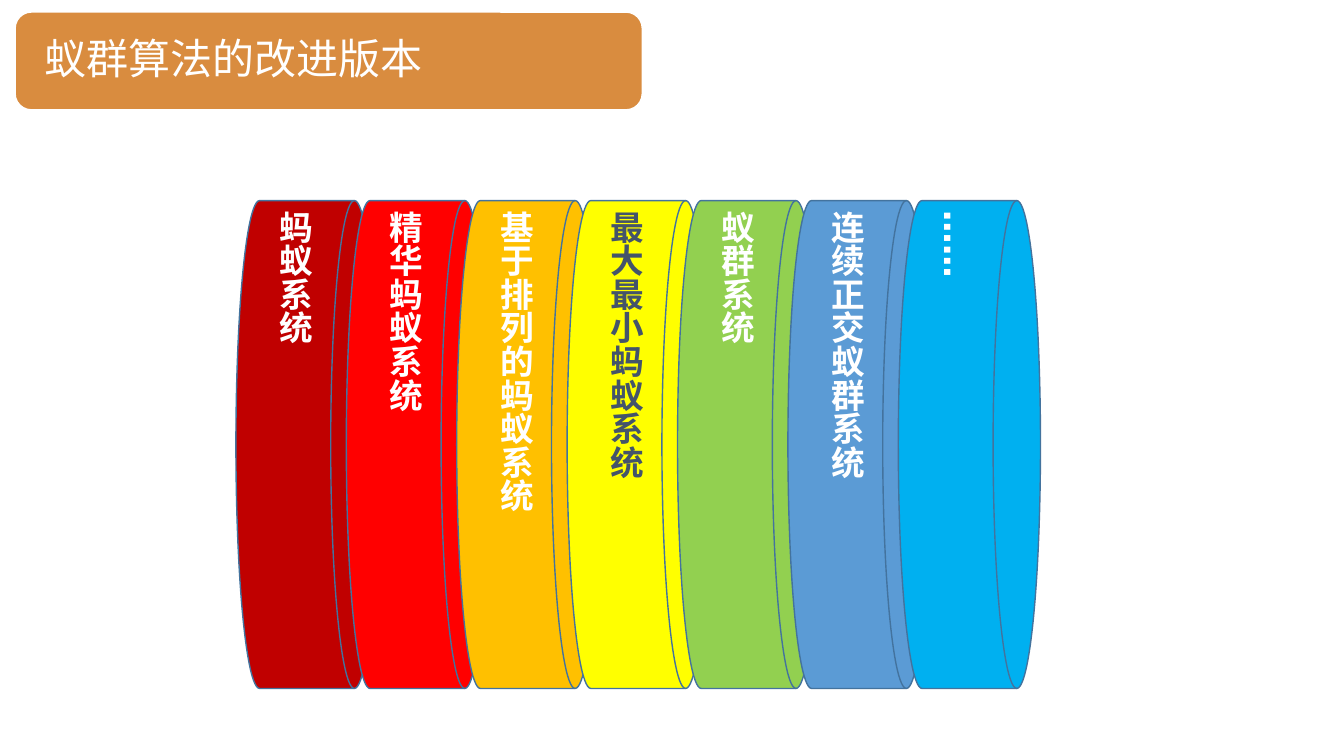
from pptx import Presentation
from pptx import util as u
from pptx.dml.color import RGBColor
from pptx.enum import shapes, text

TITLE = "蚁群算法的改进版本"
COLOURS = {
    "banner": "D98C3F", "white": "FFFFFF", "slate": "44546A", "outline": "43739E",
    "crimson": "C00000", "red": "FF0000", "amber": "FFC000", "yellow": "FFFF00",
    "green": "92D050", "blue": "5B9BD5", "sky": "00B0F0",
}
DRUMS = [
    ("蚂蚁系统", "crimson", "white"),
    ("精华蚂蚁系统", "red", "white"),
    ("基于排列的蚂蚁系统", "amber", "white"),
    ("最大最小蚂蚁系统", "yellow", "slate"),
    ("蚁群系统", "green", "white"),
    ("连续正交蚁群系统", "blue", "white"),
    ("……", "sky", "white"),
]
SLIDE = (13.33, 7.5)
BANNER = (0.15, 0.12, 6.22, 0.97)
BANNER_INSET = 0.05
ROW = {"left": 2.34, "top": 1.99, "right": 10.32, "width": 1.41, "height": 4.84}
TITLE_FRAME = {
    "word_wrap": True, "auto_size": text.MSO_AUTO_SIZE.NONE,
    "vertical_anchor": text.MSO_ANCHOR.MIDDLE,
    "margin_left": u.Inches(0.24), "margin_right": u.Inches(0.24),
    "margin_top": 0, "margin_bottom": 0,
}
DRUM_FRAME = {"word_wrap": True, "vertical_anchor": text.MSO_ANCHOR.MIDDLE}
TITLE_PARA = {"alignment": text.PP_ALIGN.LEFT, "line_spacing": 0.9}
DRUM_PARA = {"alignment": text.PP_ALIGN.CENTER}
TITLE_FONT = {"name": "Calibri", "size": u.Pt(30), "bold": False}
DRUM_FONT = {"name": "DejaVu Sans", "size": u.Pt(24), "bold": True}


def colour(name):
    return RGBColor.from_string(COLOURS[name])


def apply(target, values):
    for name, value in values.items():
        setattr(target, name, value)


def add_block(parent, kind, place, fill, outline):
    block = parent.add_shape(kind, *map(u.Inches, place))
    block.shadow.inherit = False
    block.fill.solid()
    block.fill.fore_color.rgb = colour(fill)
    block.line.color.rgb = colour(outline)
    block.line.width = u.Pt(1)
    return block


def write(frame, words, frame_format, para_format, font_format, ink):
    apply(frame, frame_format)
    para = frame.paragraphs[0]
    apply(para, para_format)
    span = para.add_run()
    span.text = words
    apply(span.font, font_format)
    span.font.color.rgb = colour(ink)


def add_drums(page):
    group = page.shapes.add_group_shape()
    pitch = (ROW["right"] - ROW["left"] - ROW["width"]) / (len(DRUMS) - 1)
    for column, (words, fill, ink) in enumerate(DRUMS):
        place = (ROW["left"] + column * pitch, ROW["top"], ROW["width"], ROW["height"])
        drum = add_block(group.shapes, shapes.MSO_SHAPE.FLOWCHART_DIRECT_ACCESS_STORAGE,
                         place, fill, "outline")
        write(drum.text_frame, words, DRUM_FRAME, DRUM_PARA, DRUM_FONT, ink)
        drum.text_frame._txBody.bodyPr.set("vert", "eaVert")


def add_title(page):
    add_block(page.shapes, shapes.MSO_SHAPE.ROUNDED_RECTANGLE, BANNER, "banner", "white")
    title = page.shapes.title
    left, top, width, height = BANNER
    place = (left + BANNER_INSET, top + BANNER_INSET,
             width - 2 * BANNER_INSET, height - 2 * BANNER_INSET)
    apply(title, dict(zip(("left", "top", "width", "height"), map(u.Inches, place))))
    write(title.text_frame, TITLE, TITLE_FRAME, TITLE_PARA, TITLE_FONT, "white")
    page.shapes._spTree.append(title._element)


def main():
    deck = Presentation()
    deck.slide_width, deck.slide_height = map(u.Inches, SLIDE)
    page = deck.slides.add_slide(deck.slide_layouts[5])
    add_drums(page)
    add_title(page)
    deck.save("out.pptx")


if __name__ == "__main__":
    main()
